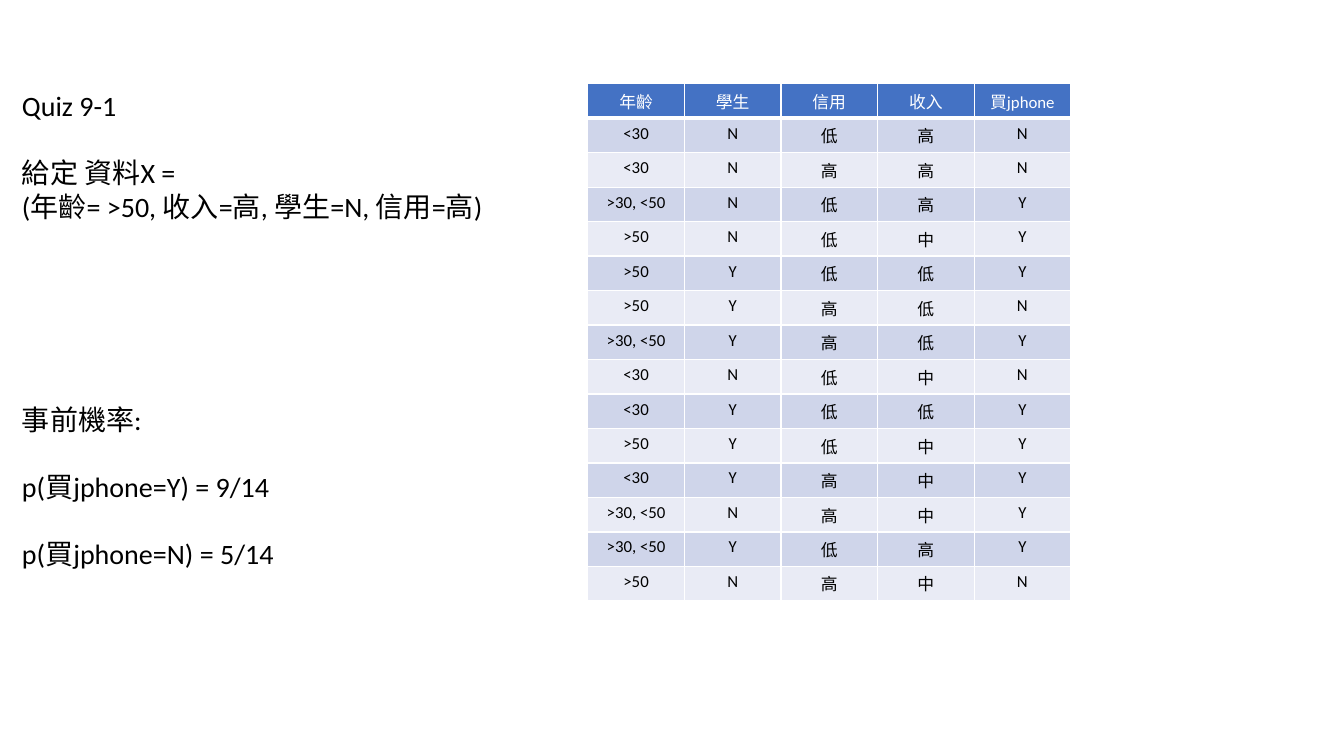
import pptx
import pptx.dml.color
import pptx.enum.text
import pptx.oxml
import pptx.oxml.ns
import pptx.util

Inches = pptx.util.Inches
Pt = pptx.util.Pt
RGBColor = pptx.dml.color.RGBColor

BLACK = RGBColor(0x00, 0x00, 0x00)
WHITE = RGBColor(0xFF, 0xFF, 0xFF)
HEADER_BLUE = RGBColor(0x44, 0x72, 0xC4)
BAND_DARK = RGBColor(0xCF, 0xD5, 0xEA)
BAND_LIGHT = RGBColor(0xE9, 0xEB, 0xF5)

HEADINGS = ["年齡", "學生", "信用", "收入", "買jphone"]
CUSTOMERS = [
    ["<30", "N", "低", "高", "N"],
    ["<30", "N", "高", "高", "N"],
    [">30, <50", "N", "低", "高", "Y"],
    [">50", "N", "低", "中", "Y"],
    [">50", "Y", "低", "低", "Y"],
    [">50", "Y", "高", "低", "N"],
    [">30, <50", "Y", "高", "低", "Y"],
    ["<30", "N", "低", "中", "N"],
    ["<30", "Y", "低", "低", "Y"],
    [">50", "Y", "低", "中", "Y"],
    ["<30", "Y", "高", "中", "Y"],
    [">30, <50", "N", "高", "中", "Y"],
    [">30, <50", "Y", "低", "高", "Y"],
    [">50", "N", "高", "中", "N"],
]


class QuizSlide:
    font_name = "Calibri"
    text_size = Pt(20)
    table_size = Pt(12)
    paragraph_gap = Pt(24)

    def __init__(self, presentation):
        self.slide = presentation.slides.add_slide(presentation.slide_layouts[6])

    def style(self, paragraph, size, color):
        paragraph.font.name = self.font_name
        paragraph.font.size = size
        paragraph.font.color.rgb = color

    def text(self, left, top, width, height, lines):
        box = self.slide.shapes.add_textbox(
            Inches(left), Inches(top), Inches(width), Inches(height))
        frame = box.text_frame
        frame.word_wrap = True
        frame.text = "\n".join(line for line, spaced in lines)
        for paragraph, (line, spaced) in zip(frame.paragraphs, lines):
            self.style(paragraph, self.text_size, BLACK)
            if spaced:
                paragraph.space_before = self.paragraph_gap

    def borders(self, cell, bottom_width):
        properties = cell._tc.get_or_add_tcPr()
        widths = {"lnL": 1, "lnR": 1, "lnT": 1, "lnB": bottom_width}
        for position, (side, width) in enumerate(widths.items()):
            properties.insert(position, pptx.oxml.parse_xml(
                f'<a:{side} {pptx.oxml.ns.nsdecls("a")} w="{Pt(width)}">'
                f'<a:solidFill><a:srgbClr val="{WHITE}"/></a:solidFill></a:{side}>'))

    def table(self, left, top, width, height, rows):
        table = self.slide.shapes.add_table(
            len(rows), len(rows[0]), Inches(left), Inches(top),
            Inches(width), Inches(height)).table
        for row_number, values in enumerate(rows):
            is_header = row_number == 0
            band = BAND_DARK if row_number % 2 else BAND_LIGHT
            for column_number, value in enumerate(values):
                cell = table.cell(row_number, column_number)
                cell.text = value
                cell.fill.solid()
                cell.fill.fore_color.rgb = HEADER_BLUE if is_header else band
                self.borders(cell, 3 if is_header else 1)
                paragraph = cell.text_frame.paragraphs[0]
                paragraph.alignment = pptx.enum.text.PP_ALIGN.CENTER
                self.style(paragraph, self.table_size, WHITE if is_header else BLACK)
                paragraph.font.bold = False


presentation = pptx.Presentation()
presentation.slide_width = Inches(13.33)
presentation.slide_height = Inches(7.5)

quiz = QuizSlide(presentation)
quiz.table(5.83, 0.83, 4.79, 5.13, [HEADINGS] + CUSTOMERS)
quiz.text(0.12, 0.83, 5.57, 1.45, [
    ("Quiz 9-1", False),
    ("給定 資料X = ", True),
    ("(年齡= >50, 收入=高, 學生=N, 信用=高)", False),
])
quiz.text(0.12, 3.94, 2.8, 1.78, [
    ("事前機率:", False),
    ("p(買jphone=Y) = 9/14 ", True),
    ("p(買jphone=N) = 5/14 ", True),
])

presentation.save("out.pptx")
